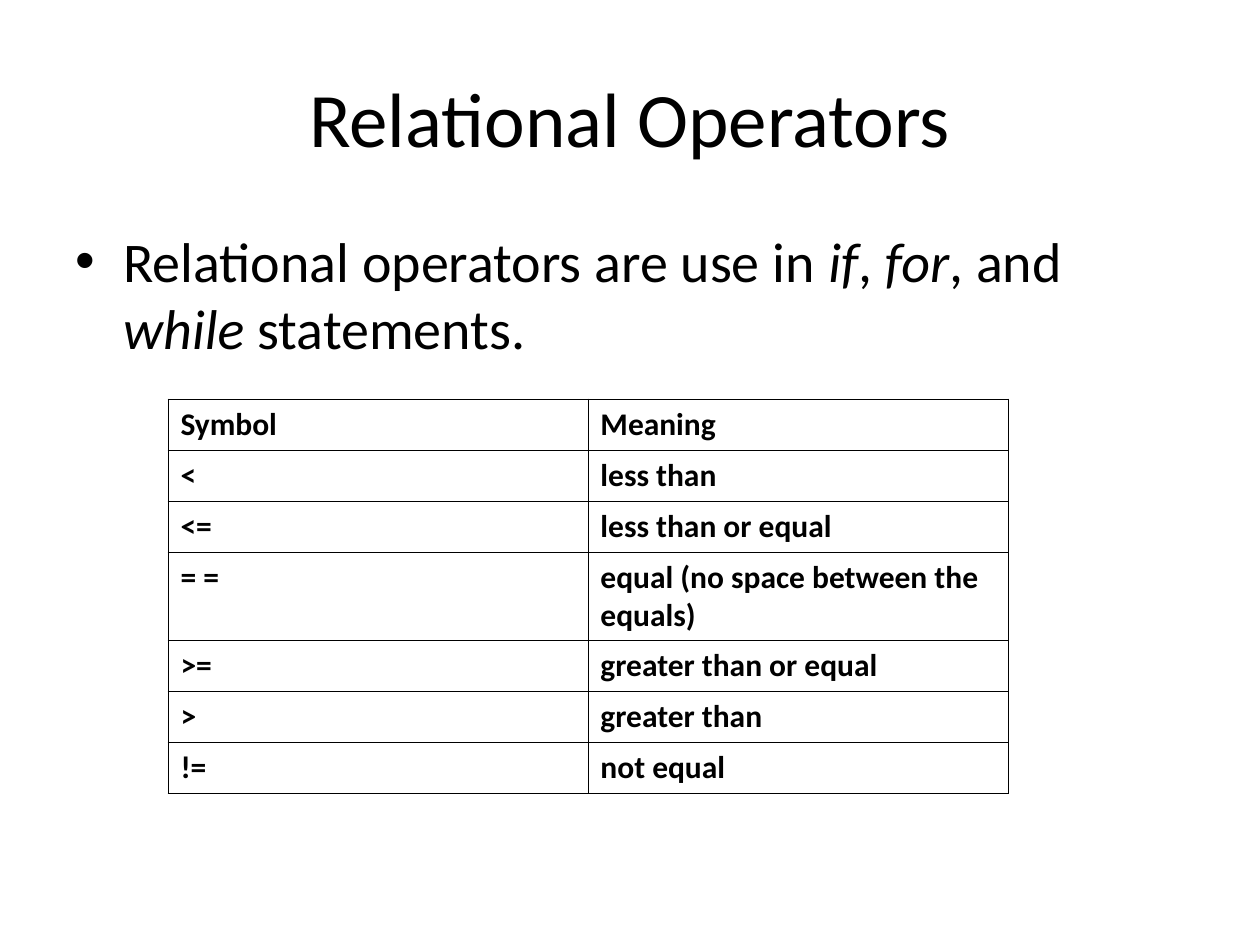
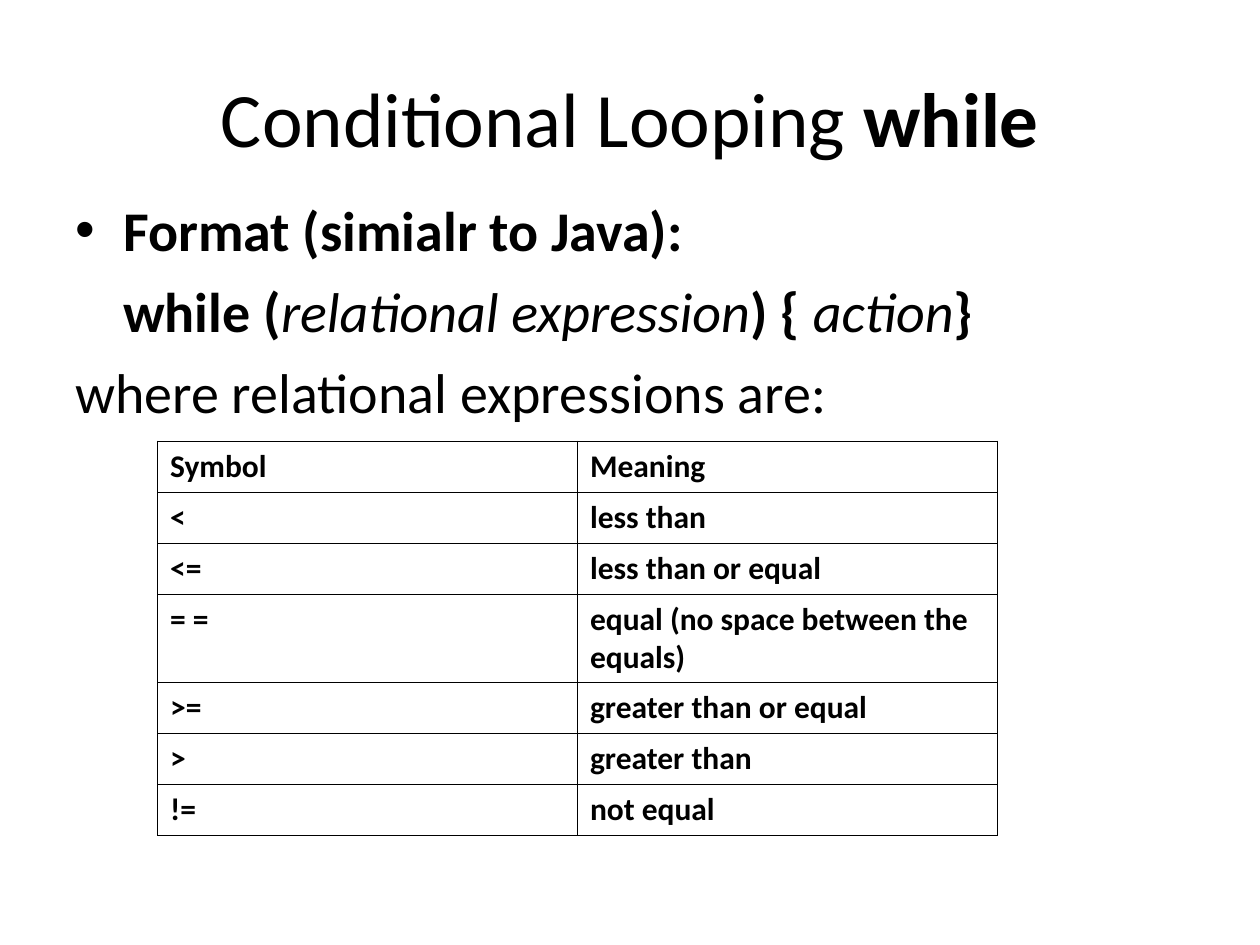
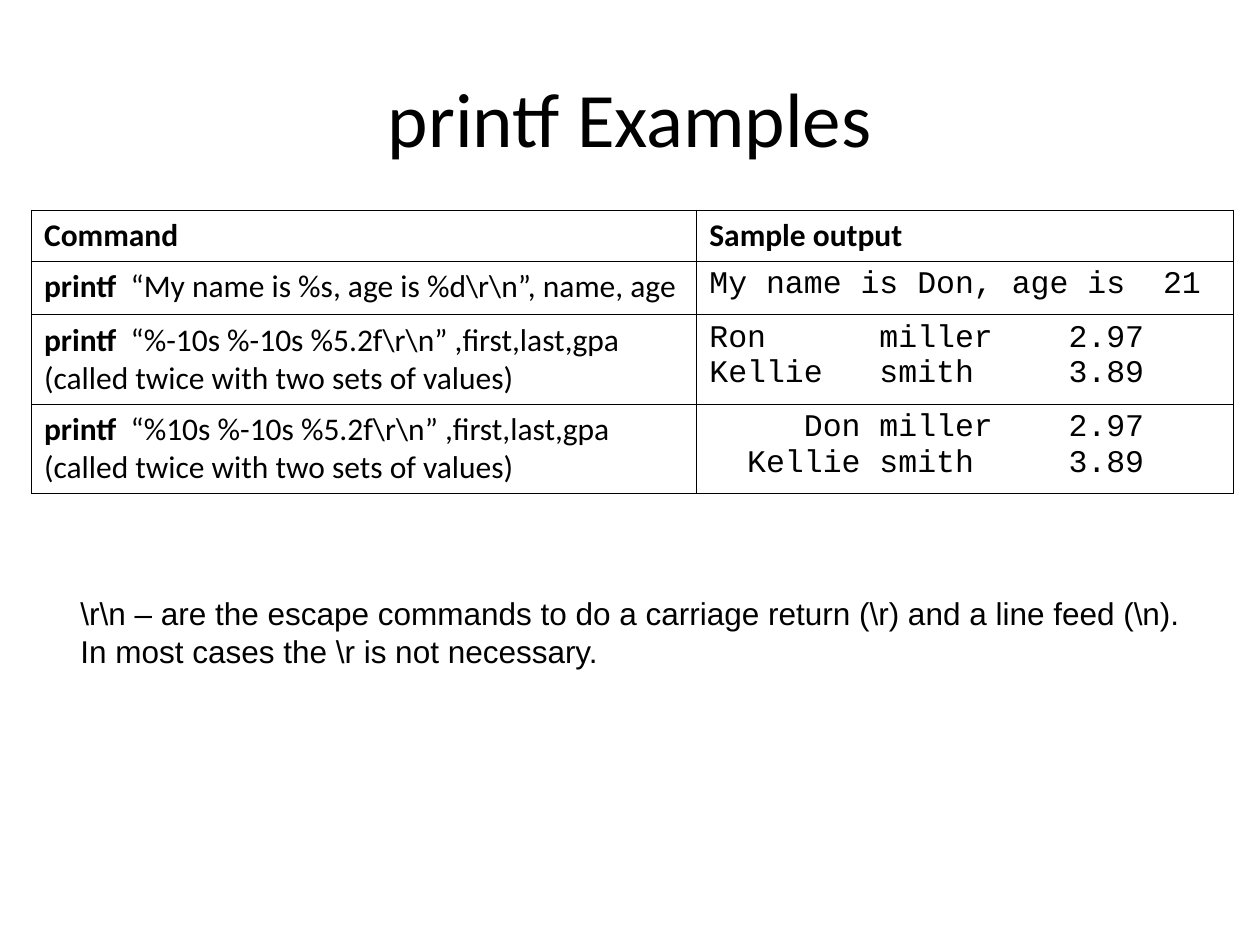
from dataclasses import dataclass
from typing import NamedTuple

from lxml.etree import SubElement
from pptx import Presentation
from pptx.dml.color import RGBColor
from pptx.enum.text import MSO_ANCHOR, MSO_AUTO_SIZE, PP_ALIGN
from pptx.oxml.ns import qn
from pptx.util import Emu, Inches, Pt

SLIDE_WIDTH, SLIDE_HEIGHT = Inches(10), Inches(7.5)
COLUMNS, ROWS = 40, 30
BLACK, WHITE = "000000", "FFFFFF"
SANS, NOTE_FONT, CODE_FONT = "Calibri", "Arial", "Courier New"
TITLE_SIZE, BODY_SIZE, SMALL_SIZE = 44, 32, 18
BODY_SPACING = Pt(8)
BODY_INDENT = Inches(0.38)
BORDER_WIDTH = Pt(0.45)


class Area(NamedTuple):
    """A place on the slide grid, in columns and rows."""
    left: float
    top: float
    width: float
    height: float


class Run(NamedTuple):
    text: str
    bold: bool = False
    italic: bool = False


@dataclass(frozen=True)
class Line:
    runs: tuple[Run, ...]
    font: str = SANS
    bullet: bool = False
    indented: bool = False


@dataclass(frozen=True)
class Grid:
    """A table: where it starts, its column widths, row heights and cells."""
    left: float
    top: float
    widths: tuple[float, ...]
    heights: tuple[float, ...]
    cells: list[list[list[Line]]]


TITLE_AREA = Area(2, 1.2, 36, 5)
ROW, TALL_ROW = 1.62, 2.8


def across(columns: float) -> Emu:
    return Emu(round(SLIDE_WIDTH * columns / COLUMNS))


def down(rows: float) -> Emu:
    return Emu(round(SLIDE_HEIGHT * rows / ROWS))


def place(area: Area) -> tuple[Emu, Emu, Emu, Emu]:
    return across(area.left), down(area.top), across(area.width), down(area.height)


def color(value: str) -> RGBColor:
    return RGBColor.from_string(value)


def plain(text: str, font: str = SANS) -> Line:
    return Line((Run(text),), font)


def bold(text: str) -> Line:
    return Line((Run(text, bold=True),))


def set_bullet(paragraph, line: Line) -> None:
    """Give the paragraph its indent, and a bullet if the line has one."""
    properties = paragraph._p.get_or_add_pPr()
    left = BODY_INDENT if line.bullet or line.indented else 0
    properties.set("marL", str(left))
    properties.set("indent", str(-left if line.bullet else 0))
    if line.bullet:
        SubElement(properties, qn("a:buFont"), typeface="Arial")
        SubElement(properties, qn("a:buChar"), char="•")
    else:
        SubElement(properties, qn("a:buNone"))


def write(frame, lines: list[Line], size: int, spacing: int = 0,
          alignment: PP_ALIGN = PP_ALIGN.LEFT) -> None:
    for index, line in enumerate(lines):
        paragraph = frame.add_paragraph() if index else frame.paragraphs[0]
        paragraph.alignment = alignment
        paragraph.space_before = spacing if index else 0
        set_bullet(paragraph, line)
        paragraph.font.size = Pt(size)
        paragraph.font.name = line.font
        paragraph.font.color.rgb = color(BLACK)
        same_style = len({run[1:] for run in line.runs}) == 1
        if same_style:
            paragraph.font.bold = line.runs[0].bold
            paragraph.font.italic = line.runs[0].italic
        for part in line.runs:
            run = paragraph.add_run()
            run.text = part.text
            if not same_style:
                run.font.bold, run.font.italic = part.bold, part.italic


def add_titled_slide(presentation, *runs: Run):
    slide = presentation.slides.add_slide(presentation.slide_layouts[5])
    title = slide.shapes.title
    title.left, title.top, title.width, title.height = place(TITLE_AREA)
    title.text_frame.vertical_anchor = MSO_ANCHOR.MIDDLE
    write(title.text_frame, [Line(runs)], TITLE_SIZE, alignment=PP_ALIGN.CENTER)
    return slide


def add_body(slide, area: Area, lines: list[Line]) -> None:
    frame = slide.shapes.add_textbox(*place(area)).text_frame
    frame.word_wrap = True
    write(frame, lines, BODY_SIZE, BODY_SPACING)


def add_note(slide, area: Area, lines: list[Line]) -> None:
    """Add a text box that grows with its unwrapped text."""
    frame = slide.shapes.add_textbox(*place(area)).text_frame
    frame.word_wrap = False
    frame.auto_size = MSO_AUTO_SIZE.SHAPE_TO_FIT_TEXT
    write(frame, lines, SMALL_SIZE)


def format_cell(cell) -> None:
    properties = cell._tc.get_or_add_tcPr()
    for side in ("L", "R", "T", "B"):
        border = SubElement(properties, qn(f"a:ln{side}"), w=str(BORDER_WIDTH))
        SubElement(SubElement(border, qn("a:solidFill")), qn("a:srgbClr"), val=BLACK)
    cell.fill.solid()
    cell.fill.fore_color.rgb = color(WHITE)


def add_grid(slide, grid: Grid) -> None:
    area = Area(grid.left, grid.top, sum(grid.widths), sum(grid.heights))
    table = slide.shapes.add_table(
        len(grid.heights), len(grid.widths), *place(area)).table
    table.first_row = table.horz_banding = False
    for column, width in zip(table.columns, grid.widths):
        column.width = across(width)
    for row, height, contents in zip(table.rows, grid.heights, grid.cells):
        row.height = down(height)
        for cell, lines in zip(row.cells, contents):
            format_cell(cell)
            write(cell.text_frame, lines, SMALL_SIZE)


def operator_grid(left: float, top: float) -> Grid:
    operators = [
        ("Symbol", "Meaning"),
        ("<", "less than"),
        ("<=", "less than or equal"),
        ("= =", "equal (no space between the equals)"),
        (">=", "greater than or equal"),
        (">", "greater than"),
        ("!=", "not equal"),
    ]
    heights = tuple(TALL_ROW if symbol == "= =" else ROW for symbol, _ in operators)
    cells = [[[bold(text)] for text in row] for row in operators]
    return Grid(left, top, (COLUMNS / 3, COLUMNS / 3), heights, cells)


def printf_row(arguments: str, output: list[str], remark: str = "") -> list[list[Line]]:
    command = [Line((Run("printf", bold=True), Run(f"  {arguments}")))]
    if remark:
        command.append(plain(remark))
    return [command, [plain(text, CODE_FONT) for text in output]]


def add_relational_operators(presentation) -> None:
    slide = add_titled_slide(presentation, Run("Relational Operators"))
    add_body(slide, Area(2, 7, 36, 19.8), [Line((
        Run("Relational operators are use in "), Run("if", italic=True),
        Run(", "), Run("for", italic=True), Run(", and "),
        Run("while", italic=True), Run(" statements.")), bullet=True)])
    add_grid(slide, operator_grid(5.33, 12.67))


def add_while_loop(presentation) -> None:
    slide = add_titled_slide(
        presentation, Run("Conditional Looping "), Run("while", bold=True))
    add_body(slide, Area(2, 6, 36, 20.8), [
        Line((Run("Format (simialr to Java):", bold=True),), bullet=True),
        Line((Run("while (", bold=True), Run("relational expression", italic=True),
              Run(") { ", bold=True), Run("action", italic=True),
              Run("}", bold=True)), indented=True),
        plain("where relational expressions are:"),
    ])
    add_grid(slide, operator_grid(5, 14))


def add_printf_examples(presentation) -> None:
    slide = add_titled_slide(presentation, Run("printf Examples"))
    remark = "(called twice with two sets of values)"
    cells = [
        [[bold("Command")], [bold("Sample output")]],
        printf_row(r"“My name is %s, age is %d\r\n”, name, age",
                   ["My name is Don, age is  21"]),
        printf_row(r"“%-10s %-10s %5.2f\r\n” ,first,last,gpa",
                   ["Ron      miller    2.97", "Kellie   smith     3.89"], remark),
        printf_row(r"“%10s %-10s %5.2f\r\n” ,first,last,gpa",
                   ["     Don miller    2.97", "  Kellie smith     3.89"], remark),
    ]
    heights = (ROW, 1.7, TALL_ROW, TALL_ROW)
    add_grid(slide, Grid(1, 6.67, (21.12, 17.04), heights, cells))
    add_note(slide, Area(2.16, 18.67, 35.96, 2.8), [
        plain(r"\r\n – are the escape commands to do a carriage return (\r)"
              r" and a line feed (\n).", NOTE_FONT),
        plain(r"In most cases the \r is not necessary.", NOTE_FONT),
    ])


def main() -> None:
    presentation = Presentation()
    presentation.slide_width, presentation.slide_height = SLIDE_WIDTH, SLIDE_HEIGHT
    add_relational_operators(presentation)
    add_while_loop(presentation)
    add_printf_examples(presentation)
    presentation.save("out.pptx")


if __name__ == "__main__":
    main()
